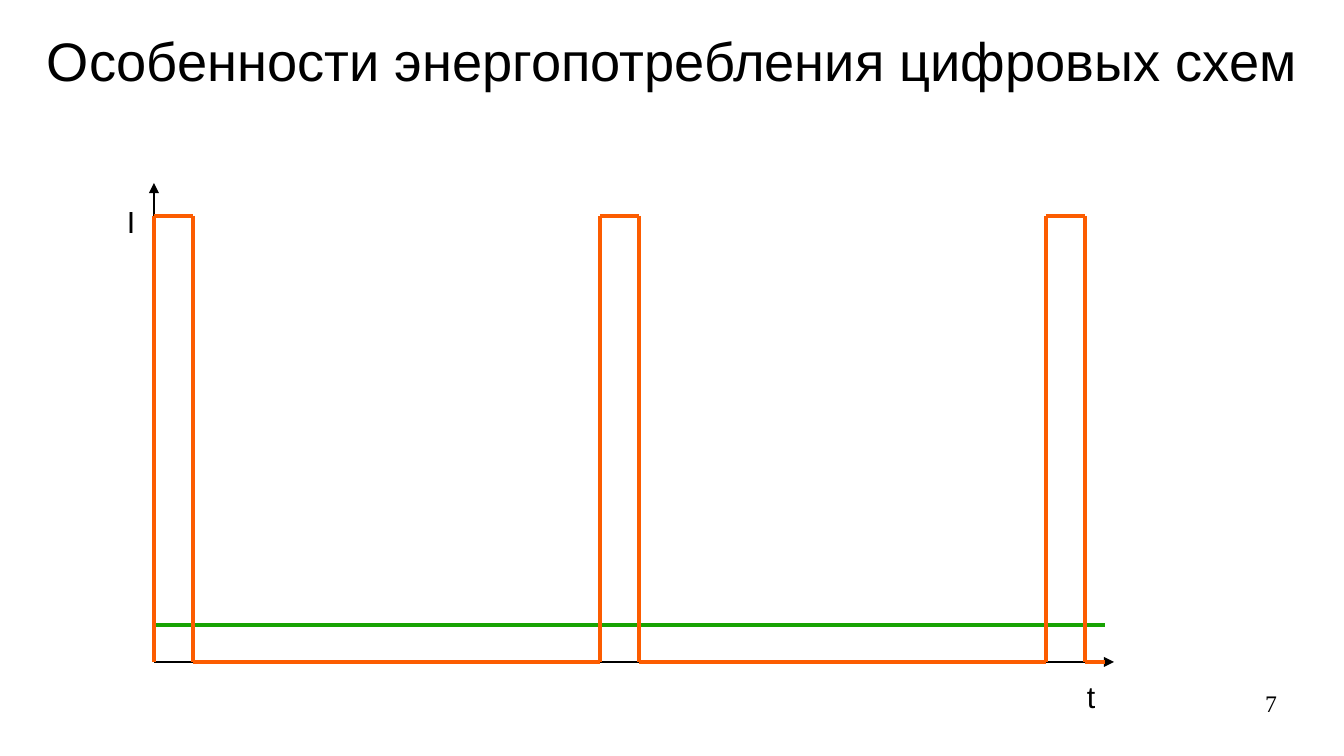
from dataclasses import dataclass

from lxml import etree
from pptx import Presentation
from pptx.dml.color import RGBColor
from pptx.enum.shapes import MSO_CONNECTOR
from pptx.enum.text import MSO_ANCHOR, PP_ALIGN
from pptx.oxml.ns import qn
from pptx.slide import Slide
from pptx.util import Emu, Pt

STRAIGHT = MSO_CONNECTOR.STRAIGHT
TOP, MIDDLE = MSO_ANCHOR.TOP, MSO_ANCHOR.MIDDLE
LEFT, CENTER, RIGHT = PP_ALIGN.LEFT, PP_ALIGN.CENTER, PP_ALIGN.RIGHT

PX_PER_INCH = 122
SLIDE_WIDTH, SLIDE_HEIGHT = 1344, 756
COLORS = {"black": "000000", "average": "18A303", "pulse": "FC5C00"}

# Graph geometry in px
ORIGIN_X, BASE_Y = 154, 662
PEAK_Y, AVERAGE_Y = 216, 625
PERIOD, PULSE_WIDTH, PULSE_COUNT = 446, 39, 3
GRAPH_END = 1105
AXIS_TOP, AXIS_RIGHT = 183, 1114
AXIS_WEIGHT, CURVE_WEIGHT = 1, 2.3


@dataclass(frozen=True)
class Line:
    start: tuple[int, int]
    end: tuple[int, int]
    color: str
    weight: float = CURVE_WEIGHT
    arrow: bool = False


@dataclass(frozen=True)
class Label:
    text: str
    left: int
    top: int
    width: int
    height: int
    size: int
    font: str = "Arial"
    align: PP_ALIGN = LEFT
    anchor: MSO_ANCHOR = TOP
    margin_x: int = 0
    margin_y: int = 0
    wrap: bool = True


def px(value: int) -> Emu:
    return Emu(round(value * 914400 / PX_PER_INCH))


def draw_line(slide: Slide, line: Line) -> None:
    connector = slide.shapes.add_connector(
        STRAIGHT, *map(px, line.start), *map(px, line.end)
    )
    connector.line.color.rgb = RGBColor.from_string(COLORS[line.color])
    connector.line.width = Pt(line.weight)
    if line.arrow:
        outline = connector.line._get_or_add_ln()
        etree.SubElement(outline, qn("a:tailEnd"), type="triangle")
    etree.SubElement(connector._element.spPr, qn("a:effectLst"))


def draw_label(slide: Slide, label: Label) -> None:
    box = slide.shapes.add_textbox(
        px(label.left), px(label.top), px(label.width), px(label.height)
    )
    frame = box.text_frame
    frame.word_wrap = label.wrap
    frame.vertical_anchor = label.anchor
    frame.margin_left = frame.margin_right = px(label.margin_x)
    frame.margin_top = frame.margin_bottom = px(label.margin_y)
    paragraph = frame.paragraphs[0]
    paragraph.alignment = label.align
    run = paragraph.add_run()
    run.text = label.text
    run.font.name = label.font
    run.font.size = Pt(label.size)
    run.font.color.rgb = RGBColor.from_string(COLORS["black"])


def pulse_lines() -> list[Line]:
    """Rise, peak, fall and idle stretch of every period."""
    points = [(ORIGIN_X, BASE_Y)]
    for index in range(PULSE_COUNT):
        rise = ORIGIN_X + index * PERIOD
        fall = rise + PULSE_WIDTH
        idle_end = min(rise + PERIOD, GRAPH_END)
        points += [(rise, PEAK_Y), (fall, PEAK_Y), (fall, BASE_Y), (idle_end, BASE_Y)]
    return [Line(start, end, "pulse") for start, end in zip(points, points[1:])]


def main() -> None:
    presentation = Presentation()
    presentation.slide_width = px(SLIDE_WIDTH)
    presentation.slide_height = px(SLIDE_HEIGHT)
    slide = presentation.slides.add_slide(presentation.slide_layouts[6])

    # Title
    draw_label(slide, Label("Особенности энергопотребления цифровых схем",
                            24, 24, 1297, 72, 32, align=CENTER, anchor=MIDDLE))

    # Axes, average current and current pulses
    origin = (ORIGIN_X, BASE_Y)
    lines = [
        Line(origin, (ORIGIN_X, AXIS_TOP), "black", AXIS_WEIGHT, True),
        Line(origin, (AXIS_RIGHT, BASE_Y), "black", AXIS_WEIGHT, True),
        Line((ORIGIN_X, AVERAGE_Y), (GRAPH_END, AVERAGE_Y), "average"),
        *pulse_lines(),
    ]
    for line in lines:
        draw_line(slide, line)

    # Axis names
    for text, left, top in (("t", 1075, 672), ("I", 115, 197)):
        draw_label(slide, Label(text, left, top, 33, 46, 18,
                                margin_x=12, margin_y=6, wrap=False))

    # Slide number
    draw_label(slide, Label("7", 964, 689, 313, 52, 14, "Times New Roman", RIGHT))

    presentation.save("out.pptx")


if __name__ == "__main__":
    main()
